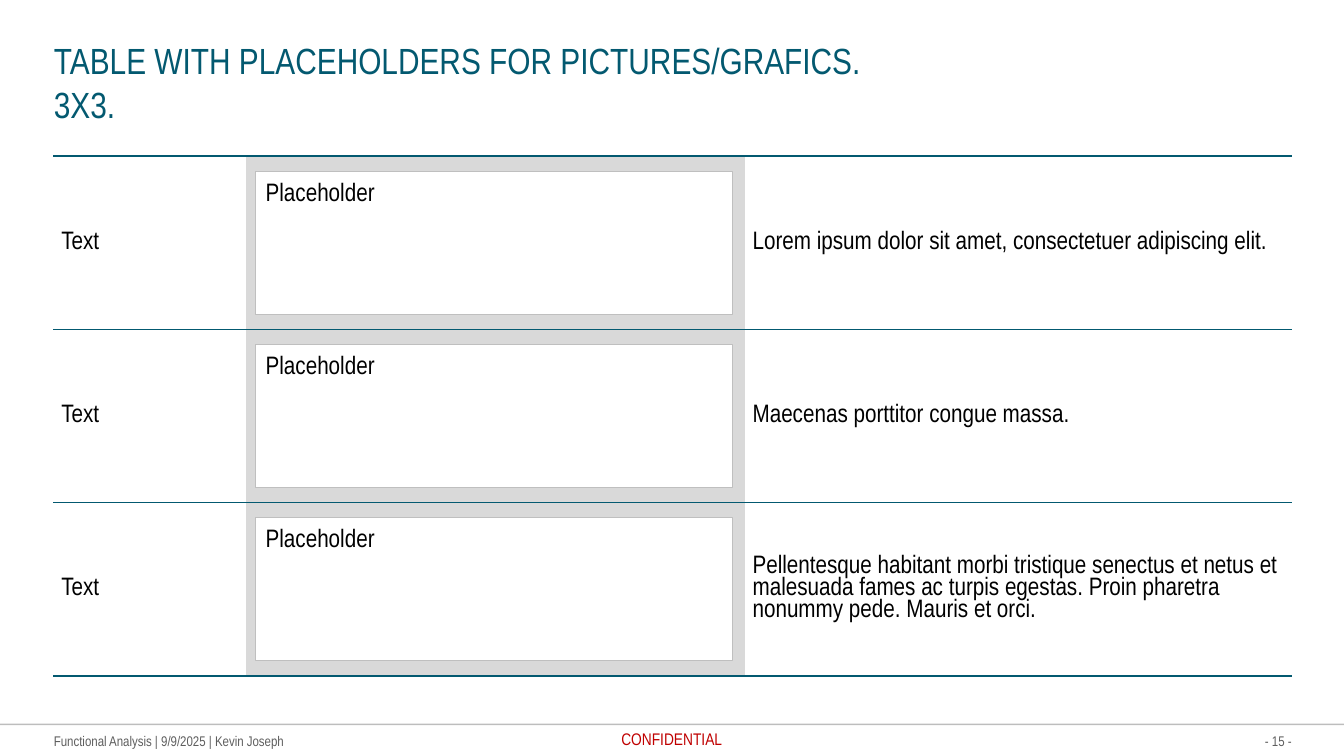
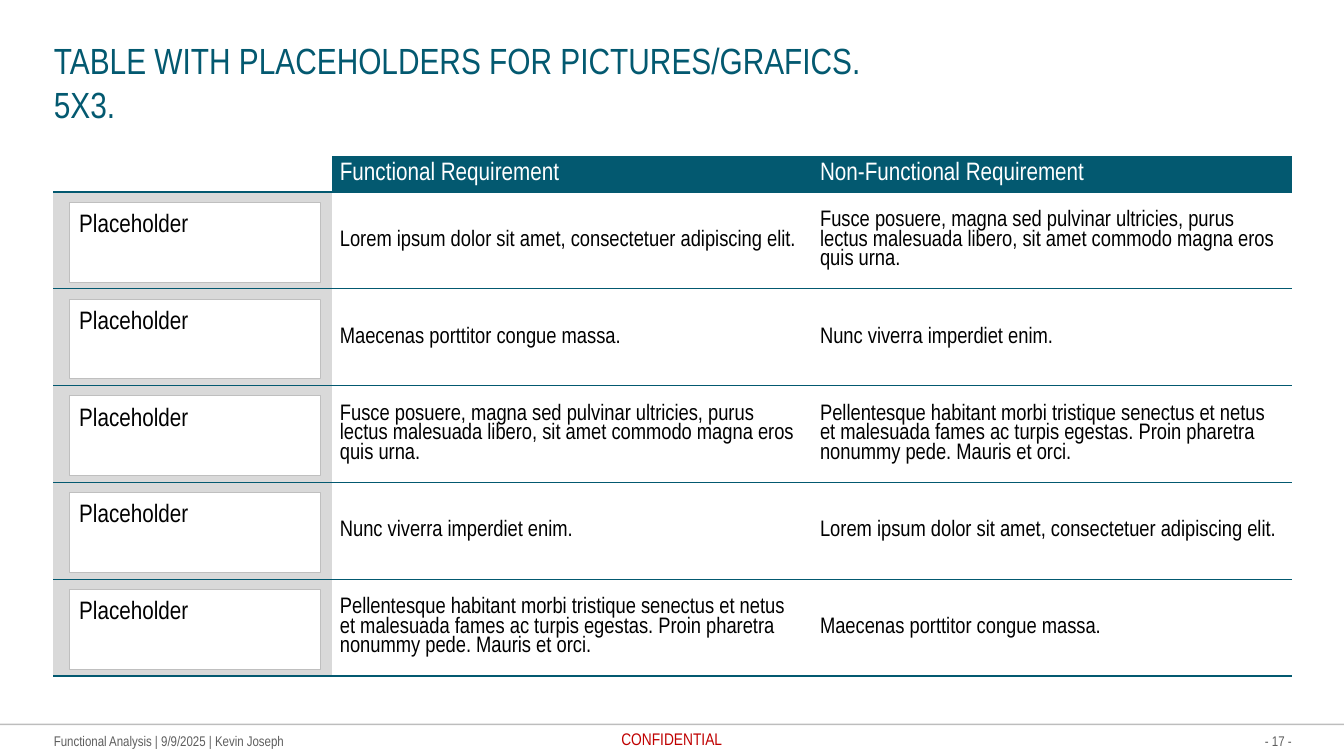
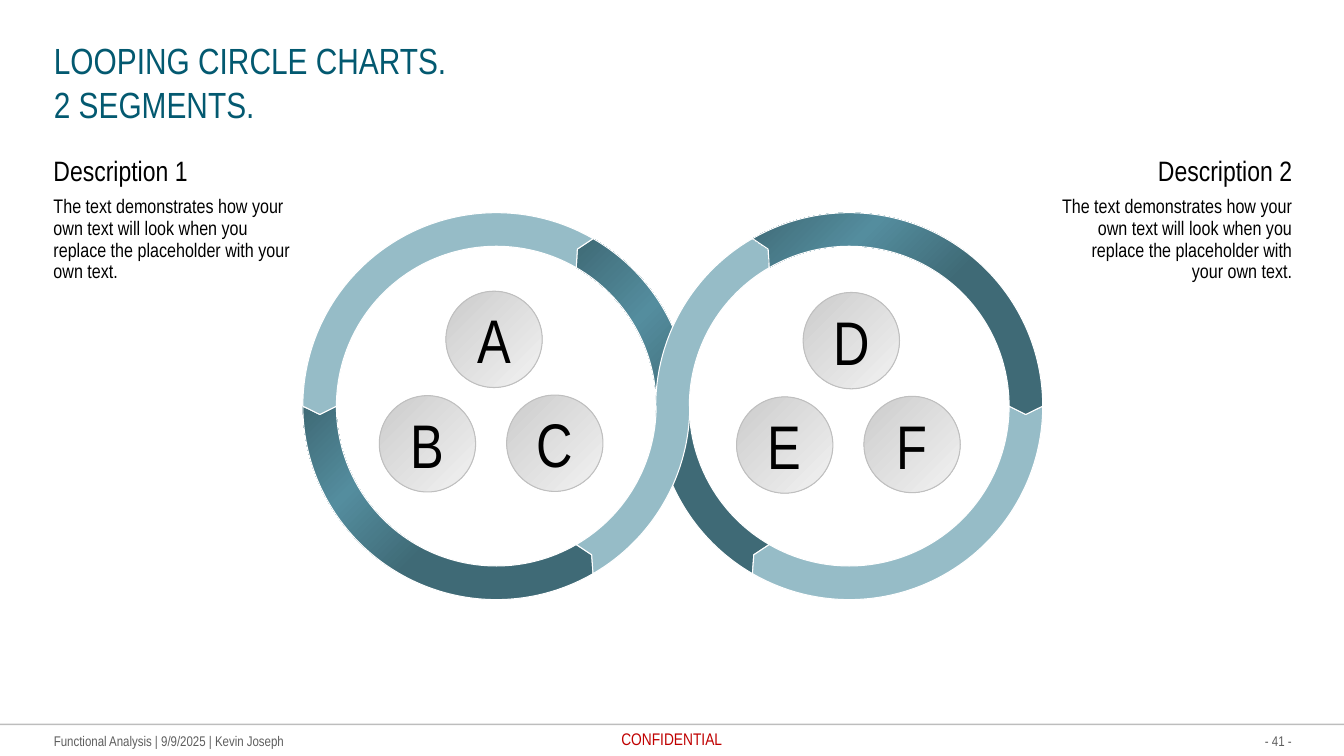
from math import cos, radians, sin, tan

from pptx import Presentation
from pptx.dml.color import RGBColor
from pptx.enum.shapes import MSO_CONNECTOR as Connector, MSO_SHAPE as Shape
from pptx.enum.text import MSO_ANCHOR as Anchor, PP_ALIGN as Align
from pptx.oxml import parse_xml
from pptx.oxml.ns import nsdecls, qn
from pptx.oxml.xmlchemy import OxmlElement as new_element
from pptx.util import Pt

# Shared style
FONT = "Arial Narrow"
TEAL, LIGHT_TEAL, DARK_TEAL, MID_TEAL = "035970", "96BCC7", "3F6A76", "548D9E"
BLACK, WHITE, PANEL, EDGE = "000000", "FFFFFF", "D9D9D9", "BFBFBF"
FOOTER_GREY, RED = "5E5E5E", "C00000"
PAGE_W, PAGE_H = 960, 540
LEFT, TEXT_LEFT, RIGHT, TOP = 38.2, 38.5, 922.6, 111.6
TIGHT = 0.93
THICK, THIN = 1.5, 0.75
NO_STYLE = "{2D5ABB26-0587-4C30-8999-92F81FD0307C}"

BAND_FILL = ([(45, DARK_TEAL), (73, MID_TEAL), (100, DARK_TEAL)],
             '<a:lin ang="13500000" scaled="0"/>')
BALL_FILL = ([(0, "F2F2F2"), (100, "CCCCCC")],
             '<a:path path="circle"><a:fillToRect l="100000" t="100000"/></a:path>')

# Looping rings: centre x and the angle by which each joint leans
RING_Y, OUTER, INNER = 290.1, 138.2, 114.2
LEFT_RING, RIGHT_RING = (354.5, -2.7), (606.6, 2.7)


def color(value):
    return RGBColor.from_string(value)


def ring_point(ring, radius, angle, along=0):
    """Point on a ring, moved by a length along the tangent there."""
    turn = radians(angle)
    return (Pt(ring[0] + radius * cos(turn) - along * sin(turn)),
            Pt(RING_Y + radius * sin(turn) + along * cos(turn)))


def ring_arc(ring, radius, start, end):
    """Moves as point lists: a straight move to the start, then 30 degree curves."""
    moves = [[ring_point(ring, radius, start)]]
    step = 30 if end > start else -30
    reach = radius * 4 / 3 * tan(radians(step / 4))
    for angle in range(start, end, step):
        moves.append([ring_point(ring, radius, angle, reach),
                      ring_point(ring, radius, angle + step, -reach),
                      ring_point(ring, radius, angle + step)])
    return moves


def ring_joint(ring, angle):
    return [[ring_point(ring, (OUTER + INNER) / 2, angle + ring[1])]]


class Deck:
    def __init__(self):
        self.deck = Presentation()
        self.deck.slide_width, self.deck.slide_height = Pt(PAGE_W), Pt(PAGE_H)
        self.page = None

    def new_page(self, number, *title_lines):
        self.page = self.deck.slides.add_slide(self.deck.slide_layouts[6])
        self.footer_line()
        self.text(TEXT_LEFT, 523.4, 182, 12.2,
                  "Functional Analysis | 9/9/2025 | Kevin Joseph",
                  10, FOOTER_GREY, anchor=Anchor.MIDDLE)
        self.text(RIGHT - 23, 523.4, 23, 12.2, f"- {number} -", 10, FOOTER_GREY,
                  Align.RIGHT, Anchor.MIDDLE)
        self.text(443.8, 520.6, 75, 14.4, "CONFIDENTIAL", 12, RED)
        title = self.frame(TEXT_LEFT, 27.4, 884, 31.7).paragraphs[0]
        for index, line in enumerate(title_lines):
            if index:
                title.add_line_break()
            self.span(title, line, 26, TEAL)

    def footer_line(self):
        line = self.page.shapes.add_connector(
            Connector.STRAIGHT, 0, Pt(517.4), Pt(PAGE_W), Pt(517.4))
        line.line.width = Pt(1)
        line.line.color.rgb = color(BLACK)
        properties = line._element.spPr
        alpha = new_element("a:alpha")
        alpha.set("val", "25000")
        properties.find(".//" + qn("a:srgbClr")).append(alpha)
        properties.append(new_element("a:effectLst"))

    # Text
    def span(self, para, text, size, ink=BLACK):
        span = para.add_run()
        span.text = text
        span.font.name, span.font.size = FONT, Pt(size)
        span.font.color.rgb = color(ink)

    def frame(self, left, top, width, height, anchor=Anchor.TOP):
        box = self.page.shapes.add_textbox(Pt(left), Pt(top), Pt(width), Pt(height))
        frame = box.text_frame
        frame.word_wrap, frame.vertical_anchor = True, anchor
        frame.margin_left = frame.margin_right = 0
        frame.margin_top = frame.margin_bottom = 0
        return frame

    def text(self, left, top, width, height, text, size, ink, align=Align.LEFT,
             anchor=Anchor.TOP):
        para = self.frame(left, top, width, height, anchor).paragraphs[0]
        para.alignment = align
        self.span(para, text, size, ink)

    def description(self, left, width, heading, body, align):
        frame = self.frame(left, TOP, width, 91.4)
        heading_para, body_para = frame.paragraphs[0], frame.add_paragraph()
        for para, text, size, after in ((heading_para, heading, 20, 6),
                                        (body_para, body, 14, 12)):
            para.alignment, para.line_spacing = align, TIGHT
            para.space_after = Pt(after)
            self.span(para, text, size)

    # Shapes
    def paint(self, shape, fill, edge):
        shape.shadow.inherit = False
        shape.line.color.rgb, shape.line.width = color(edge), Pt(THIN)
        shape.fill.solid()
        if isinstance(fill, str):
            shape.fill.fore_color.rgb = color(fill)
            return
        stops, direction = fill
        marks = "".join(f'<a:gs pos="{place * 1000}"><a:srgbClr val="{tint}"/></a:gs>'
                        for place, tint in stops)
        gradient = parse_xml(f'<a:gradFill {nsdecls("a")} rotWithShape="1">'
                             f'<a:gsLst>{marks}</a:gsLst>{direction}</a:gradFill>')
        properties = shape._element.spPr
        properties.replace(properties.find(qn("a:solidFill")), gradient)

    def shape(self, kind, left, top, width, height, fill, text, size, align, anchor, wrap):
        shape = self.page.shapes.add_shape(kind, Pt(left), Pt(top), Pt(width), Pt(height))
        self.paint(shape, fill, EDGE)
        frame = shape.text_frame
        frame.word_wrap, frame.vertical_anchor = wrap, anchor
        frame.paragraphs[0].alignment = align
        self.span(frame.paragraphs[0], text, size)

    def placeholders(self, count, left, top, width, height, pitch):
        for index in range(count):
            self.shape(Shape.RECTANGLE, left, top + index * pitch, width, height, WHITE,
                       "Placeholder", 18, Align.LEFT, Anchor.TOP, True)

    def ball(self, left, top, letter):
        self.shape(Shape.OVAL, left, top, 68.8, 68.8, BALL_FILL, letter, 44,
                   Align.CENTER, Anchor.MIDDLE, False)

    def outline(self, moves):
        """Closed freeform; moves of three points become curves."""
        builder = self.page.shapes.build_freeform(*moves[0][0])
        builder.add_line_segments([move[-1] for move in moves[1:]], close=True)
        shape = builder.convert_to_shape()
        left, top = shape.left, shape.top
        lines = shape._element.spPr.findall(".//" + qn("a:lnTo"))
        for line, move in zip(lines, moves[1:]):
            if len(move) == 3:
                points = "".join(f'<a:pt x="{x - left}" y="{y - top}"/>' for x, y in move)
                line.getparent().replace(line, parse_xml(
                    f'<a:cubicBezTo {nsdecls("a")}>{points}</a:cubicBezTo>'))
        return shape

    def loop_segment(self, fill, *spans):
        """Band along (ring, start, end) spans; it swaps sides where the rings cross."""
        near, far = [], []
        for index, (ring, start, end) in enumerate(spans):
            radii = (OUTER, INNER) if index == 0 else (INNER, OUTER)
            near += ring_arc(ring, radii[0], start, end)
            far = ring_arc(ring, radii[1], end, start) + far
        first_ring, first_angle, _ = spans[0]
        last_ring, _, last_angle = spans[-1]
        self.paint(self.outline(near + ring_joint(last_ring, last_angle)
                                + far + ring_joint(first_ring, first_angle)), fill, WHITE)

    # Tables
    def border(self, cell, side, width):
        properties = cell._tc.get_or_add_tcPr()
        if width:
            line = (f'<a:ln{side} {nsdecls("a")} w="{Pt(width)}"><a:solidFill>'
                    f'<a:srgbClr val="{TEAL}"/></a:solidFill></a:ln{side}>')
        else:
            line = f'<a:ln{side} {nsdecls("a")} w="0"><a:noFill/></a:ln{side}>'
        properties.append(parse_xml(line))

    def table(self, widths, heights, rows, size, panel_column, header=False):
        grid = self.page.shapes.add_table(
            len(rows), len(widths), Pt(LEFT), Pt(TOP), Pt(sum(widths)), Pt(sum(heights))).table
        grid.first_row = grid.horz_banding = False
        grid._tbl.tblPr.find(qn("a:tableStyleId")).text = NO_STYLE
        for column, width in zip(grid.columns, widths):
            column.width = Pt(width)
        # Rule widths from the top edge to the bottom edge
        rules = [THICK] + [THIN] * (len(rows) - 1) + [THICK]
        if header:
            rules[:2] = [THIN, THICK]
        for r, texts in enumerate(rows):
            grid.rows[r].height = Pt(heights[r])
            is_header = header and r == 0
            for c, text in enumerate(texts):
                cell = grid.cell(r, c)
                blank_corner = is_header and c == panel_column
                self.border(cell, "L", 0)
                self.border(cell, "R", 0)
                self.border(cell, "T", 0 if blank_corner else rules[r])
                self.border(cell, "B", rules[r + 1])
                if blank_corner:
                    cell.fill.background()
                else:
                    cell.fill.solid()
                    cell.fill.fore_color.rgb = color(
                        TEAL if is_header else PANEL if c == panel_column else WHITE)
                cell.vertical_anchor = Anchor.MIDDLE
                cell.margin_left = cell.margin_right = Pt(5.6)
                cell.margin_top = cell.margin_bottom = Pt(2.8)
                para = cell.text_frame.paragraphs[0]
                para.line_spacing = TIGHT
                if text:
                    self.span(para, text, 18 if is_header else size,
                              WHITE if is_header else BLACK)
                else:
                    # A small end mark keeps an empty cell from stretching its row
                    mark = new_element("a:endParaRPr")
                    mark.set("sz", "1200")
                    para._p.append(mark)


LOREM = "Lorem ipsum dolor sit amet, consectetuer adipiscing elit."
MAECENAS = "Maecenas porttitor congue massa."
FUSCE = ("Fusce posuere, magna sed pulvinar ultricies, purus lectus malesuada libero, "
         "sit amet commodo magna eros quis urna.")
NUNC = "Nunc viverra imperdiet enim."
PELLENTESQUE = ("Pellentesque habitant morbi tristique senectus et netus et malesuada fames "
                "ac turpis egestas. Proin pharetra nonummy pede. Mauris et orci.")
DEMO = ("The text demonstrates how your own text will look when you replace "
        "the placeholder with your own text.")
TABLE_TITLE = "TABLE WITH PLACEHOLDERS FOR PICTURES/GRAFICS."


def three_row_page(deck):
    deck.new_page(15, TABLE_TITLE, "3X3.")
    row = 123.7
    deck.table([137.8, 356, 391], [row] * 3,
               [["Text", "", text] for text in (LOREM, MAECENAS, PELLENTESQUE)],
               18, panel_column=1)
    height = 102.2
    deck.placeholders(3, 182.7, TOP + (row - height) / 2, 340.6, height, row)


def five_row_page(deck):
    deck.new_page(17, TABLE_TITLE, "5X3.")
    head, row = 25.5, 69.1
    deck.table([199, 343, 343], [head] + [row] * 5,
               [["", "Functional Requirement", "Non-Functional Requirement"],
                ["", LOREM, FUSCE],
                ["", MAECENAS, NUNC],
                ["", FUSCE, PELLENTESQUE],
                ["", NUNC, LOREM],
                ["", PELLENTESQUE, MAECENAS]],
               16, panel_column=0, header=True)
    deck.placeholders(5, 49.5, TOP + head + 7.5, 179.8, 57, row)


def loop_page(deck):
    deck.new_page(41, "LOOPING CIRCLE CHARTS.", "2 SEGMENTS.")
    deck.loop_segment(BAND_FILL, (LEFT_RING, -60, 0), (RIGHT_RING, 180, 120))
    deck.loop_segment(BAND_FILL, (LEFT_RING, 60, 180))
    deck.loop_segment(LIGHT_TEAL, (LEFT_RING, 180, 300))
    deck.loop_segment(LIGHT_TEAL, (RIGHT_RING, -120, -180), (LEFT_RING, 0, 60))
    deck.loop_segment(LIGHT_TEAL, (RIGHT_RING, 0, 120))
    deck.loop_segment(BAND_FILL, (RIGHT_RING, -120, 0))
    # Three balls in each ring
    for letters, shift_x, shift_y in (("ABC", 0, 0), ("DEF", 255.2, 0.9)):
        for letter, (left, top) in zip(letters, ((318.5, 208), (270.9, 282.6), (361.9, 282.2))):
            deck.ball(left + shift_x, top + shift_y, letter)
    deck.description(RIGHT - 167.6, 168, "Description 2", DEMO, Align.RIGHT)
    deck.description(LEFT, 179, "Description 1", DEMO, Align.LEFT)


def main():
    deck = Deck()
    three_row_page(deck)
    five_row_page(deck)
    loop_page(deck)
    deck.deck.save("out.pptx")


if __name__ == "__main__":
    main()
